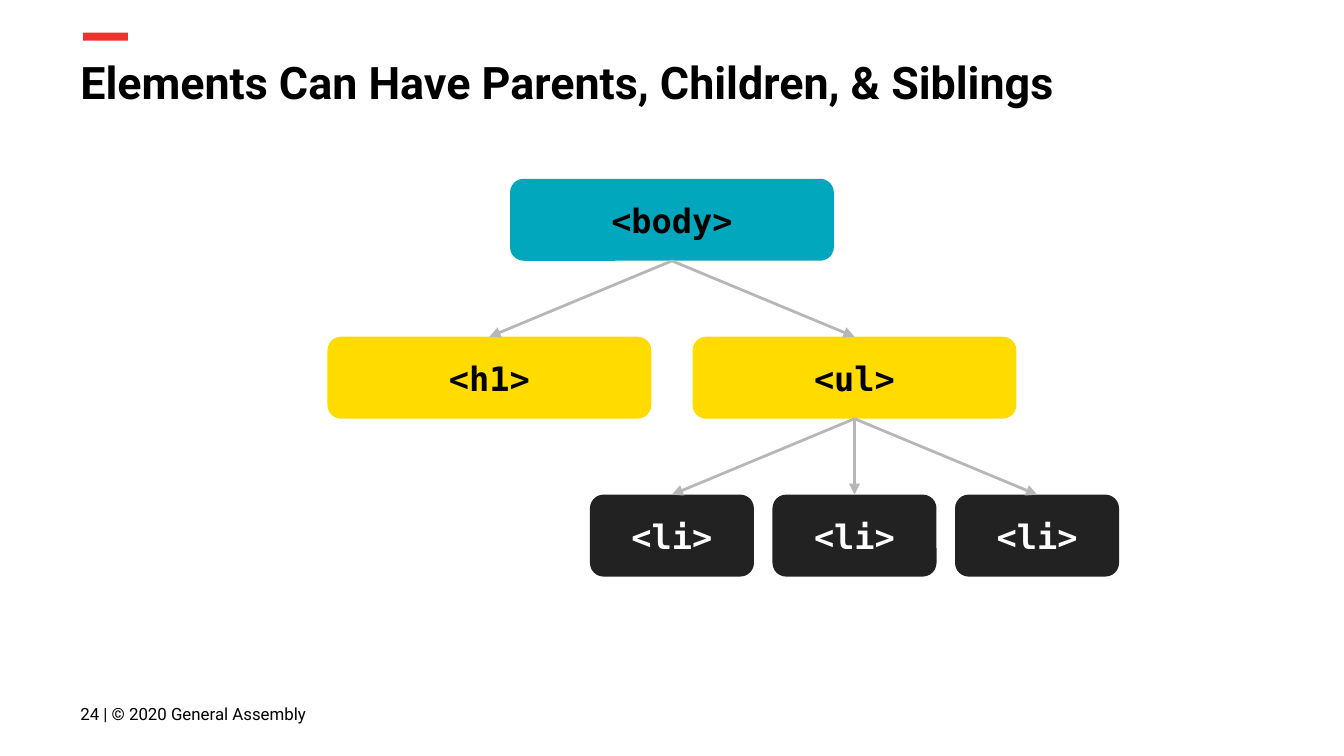
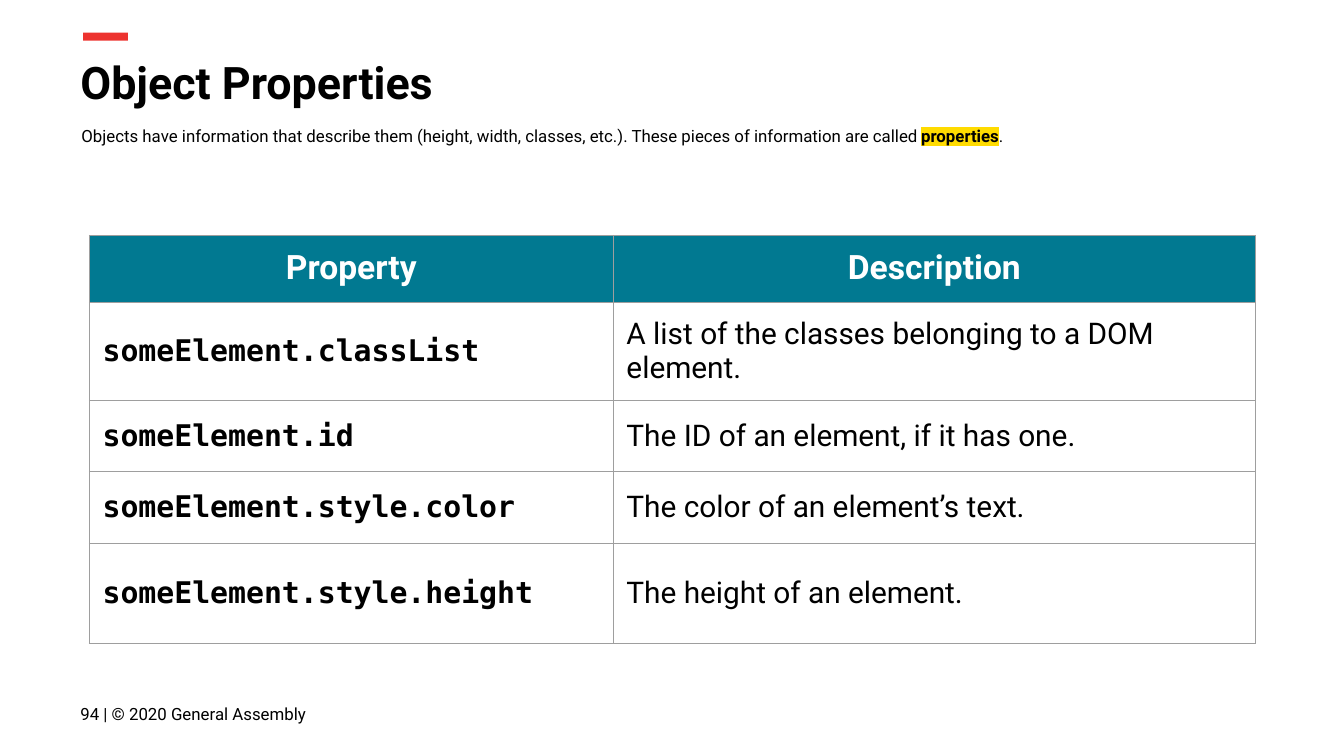
from dataclasses import dataclass

import lxml.etree
import pptx
import pptx.dml.color
import pptx.enum.shapes
import pptx.enum.text
import pptx.oxml
import pptx.oxml.ns
import pptx.util

Cm = pptx.util.Cm
Pt = pptx.util.Pt
SHAPE = pptx.enum.shapes.MSO_SHAPE
ALIGN = pptx.enum.text.PP_ALIGN
ANCHOR = pptx.enum.text.MSO_ANCHOR
qn = pptx.oxml.ns.qn


@dataclass(frozen=True)
class Theme:
    ink: str = "000000"
    paper: str = "FFFFFF"
    accent: str = "ED332F"
    root: str = "00A7BD"
    branch: str = "FFDB00"
    leaf: str = "222222"
    arrow: str = "B7B7B7"
    header: str = "017991"
    border: str = "9E9E9E"
    sans: str = "Roboto"
    mono: str = "DejaVu Sans Mono"
    title: int = 24
    label: int = 18
    cell: int = 16
    small: int = 9
    inset: float = 0.25


THEME = Theme()


def rgb(value):
    return pptx.dml.color.RGBColor.from_string(value)


def add_element(parent, tag, **attributes):
    return lxml.etree.SubElement(parent, qn(tag), attributes)


def write(holder, text, size=THEME.small, face=THEME.sans, color=THEME.ink,
          bold=False, highlight=None, align=ALIGN.LEFT, anchor=ANCHOR.TOP):
    for side in ("left", "top", "right", "bottom"):
        setattr(holder, f"margin_{side}", Cm(THEME.inset))
    holder.vertical_anchor = anchor
    paragraph = getattr(holder, "text_frame", holder).paragraphs[0]
    paragraph.alignment = align
    run = paragraph.add_run()
    run.text = text
    run.font.size = Pt(size)
    run.font.bold = bold
    run.font.color.rgb = rgb(color)
    if highlight:
        mark = add_element(run.font._element, "a:highlight")
        add_element(mark, "a:srgbClr", val=highlight)
    run.font.name = face


def add_text_area(slide, left, top, width, height):
    frame = slide.shapes.add_textbox(Cm(left), Cm(top), Cm(width), Cm(height)).text_frame
    frame.word_wrap = True
    return frame


def add_block(slide, kind, left, top, width, height, fill):
    block = slide.shapes.add_shape(kind, Cm(left), Cm(top), Cm(width), Cm(height))
    block.shadow.inherit = False
    block.fill.solid()
    block.fill.fore_color.rgb = rgb(fill)
    block.line.fill.background()
    return block


def add_page(deck, title, number):
    slide = deck.slides.add_slide(deck.slide_layouts[6])
    slide.background.fill.solid()
    slide.background.fill.fore_color.rgb = rgb(THEME.paper)
    add_block(slide, SHAPE.RECTANGLE, 1.57, 0.62, 0.85, 0.15, THEME.accent)
    write(add_text_area(slide, 1.27, 0.79, 23.67, 1.6), title, size=THEME.title, bold=True)
    write(add_text_area(slide, 1.27, 12.95, 6.58, 1.09),
          f"{number} | © 2020 General Assembly", anchor=ANCHOR.MIDDLE)
    return slide


def add_arrow(slide, parent, child):
    arrow = slide.shapes.add_connector(pptx.enum.shapes.MSO_CONNECTOR.STRAIGHT, 0, 0, 0, 0)
    arrow.begin_connect(parent, 2)
    arrow.end_connect(child, 0)
    arrow.line.color.rgb = rgb(THEME.arrow)
    arrow.line.width = Pt(1.5)
    add_element(arrow.line._get_or_add_ln(), "a:tailEnd", type="triangle")
    add_element(arrow._element.spPr, "a:effectLst")


def add_element_tree(slide, left, top, width, height):
    wide, narrow, node_height = 6.12, 3.1, 1.55
    column_step = (width - wide / 2 - narrow / 2) / 3
    row_step = (height - node_height) / 2

    def add_node(tag, column, row, node_width, fill, color=THEME.ink):
        center = left + wide / 2 + column * column_step
        node = add_block(slide, SHAPE.ROUNDED_RECTANGLE, center - node_width / 2,
                         top + row * row_step, node_width, node_height, fill)
        write(node.text_frame, tag, size=THEME.label, face=THEME.mono, color=color,
              bold=True, align=ALIGN.CENTER, anchor=ANCHOR.MIDDLE)
        return node

    body = add_node("<body>", 1, 0, wide, THEME.root)
    heading = add_node("<h1>", 0, 1, wide, THEME.branch)
    listing = add_node("<ul>", 2, 1, wide, THEME.branch)
    items = [add_node("<li>", column, 2, narrow, THEME.leaf, THEME.paper)
             for column in (1, 2, 3)]
    for child in (heading, listing):
        add_arrow(slide, body, child)
    for item in items:
        add_arrow(slide, listing, item)


def add_borders(cell):
    properties = cell._tc.get_or_add_tcPr()
    for index, side in enumerate(("lnL", "lnR", "lnT", "lnB")):
        edge = add_element(properties, f"a:{side}", w=str(Pt(0.75)))
        add_element(add_element(edge, "a:solidFill"), "a:srgbClr", val=THEME.border)
        properties.insert(index, edge)


def add_property_table(slide, left, top, column_widths, row_heights, rows):
    table = slide.shapes.add_table(
        len(rows), len(column_widths), Cm(left), Cm(top),
        Cm(sum(column_widths)), Cm(sum(row_heights))).table
    table.horz_banding = False
    for column, width in zip(table.columns, column_widths):
        column.width = Cm(width)
    for row, height in zip(table.rows, row_heights):
        row.height = Cm(height)
    for row_index, texts in enumerate(rows):
        for column_index, text in enumerate(texts):
            cell = table.cell(row_index, column_index)
            if row_index == 0:
                cell.fill.solid()
                cell.fill.fore_color.rgb = rgb(THEME.header)
                write(cell, text, size=THEME.label, color=THEME.paper, bold=True,
                      align=ALIGN.CENTER)
            else:
                is_code = column_index == 0
                cell.fill.background()
                write(cell, text, size=THEME.cell, bold=is_code,
                      face=THEME.mono if is_code else THEME.sans, anchor=ANCHOR.MIDDLE)
            add_borders(cell)


def build_tree_slide(deck):
    slide = add_page(deck, "Elements Can Have Parents, Children, & Siblings", 24)
    add_element_tree(slide, 6.19, 3.38, 14.96, 7.52)


def build_properties_slide(deck):
    slide = add_page(deck, "Object Properties", 94)
    intro = add_text_area(slide, 1.29, 2.18, 22.83, 2.87)
    write(intro, "Objects have information that describe them (height, width, classes, etc.). "
                 "These pieces of information are called ")
    write(intro, "properties", bold=True, highlight=THEME.branch)
    write(intro, ".")
    add_property_table(slide, 1.69, 4.45, (9.9, 12.14), (1.23, 1.35, 1.35, 1.35, 1.9), (
        ("Property", "Description"),
        ("someElement.classList", "A list of the classes belonging to a DOM element."),
        ("someElement.id", "The ID of an element, if it has one."),
        ("someElement.style.color", "The color of an element’s text."),
        ("someElement.style.height", "The height of an element."),
    ))


def main():
    deck = pptx.Presentation()
    deck.slide_width = Cm(25.4)
    deck.slide_height = Cm(14.29)
    build_tree_slide(deck)
    build_properties_slide(deck)
    deck.save("out.pptx")


if __name__ == "__main__":
    main()
